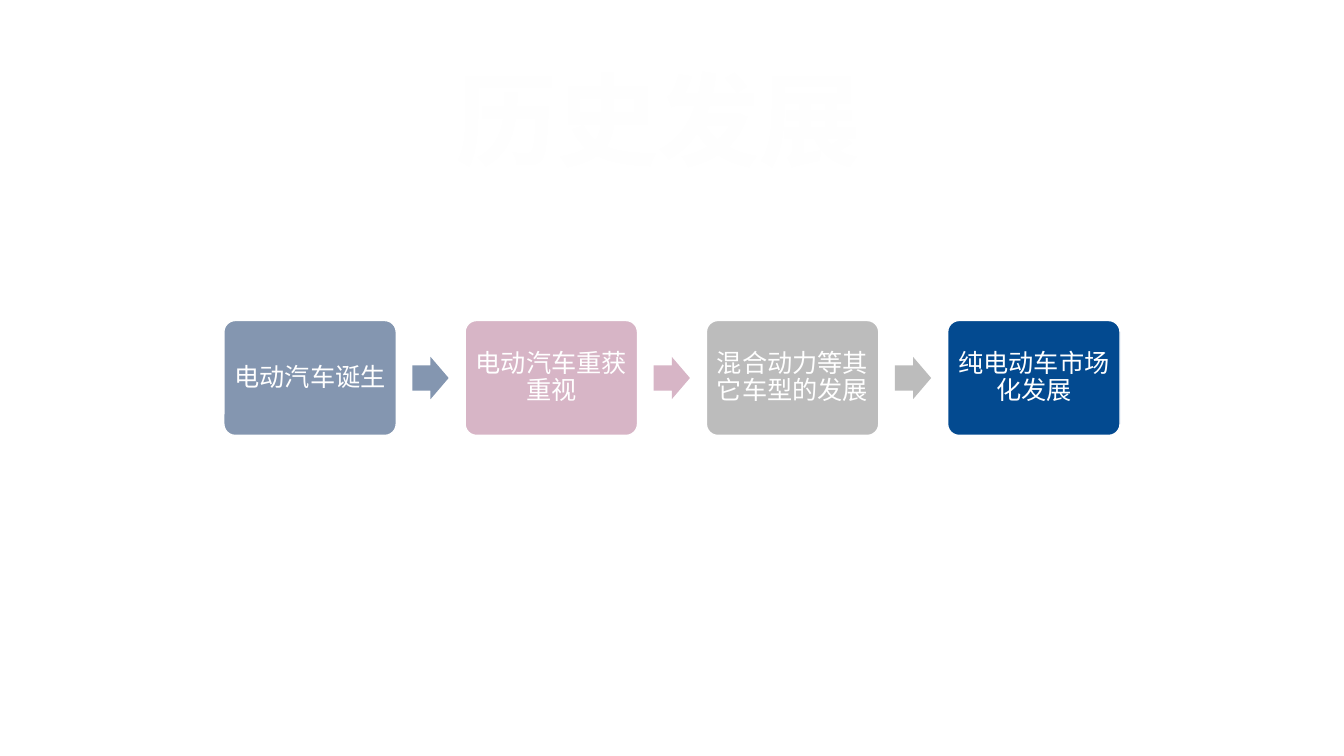
from lxml import etree
from pptx import Presentation
from pptx.dml.color import RGBColor
from pptx.enum.shapes import MSO_SHAPE
from pptx.enum.text import MSO_ANCHOR, MSO_AUTO_SIZE, PP_ALIGN
from pptx.oxml import parse_xml
from pptx.util import Inches, Pt

ROUND = MSO_SHAPE.ROUNDED_RECTANGLE
ARROW = MSO_SHAPE.RIGHT_ARROW
MIDDLE = MSO_ANCHOR.MIDDLE
GROW = MSO_AUTO_SIZE.SHAPE_TO_FIT_TEXT
CENTER = PP_ALIGN.CENTER
NS = "http://schemas.openxmlformats.org/drawingml/2006/main"

COLORS = {
    "white": "FFFFFF",
    "title": "FEFEFE",
    "edge": "595959",
    "slate": "8496B0",
    "pink": "D7B5C6",
    "gray": "BCBCBC",
    "navy": "034A90",
    "shade": "000000",
}

STEPS = [
    ("电动汽车诞生", "slate"),
    ("电动汽车重获重视", "pink"),
    ("混合动力等其它车型的发展", "gray"),
    ("纯电动车市场化发展", "navy"),
]


def rgb(name):
    return RGBColor.from_string(COLORS[name])


def write(frame, text, size=18, font="Arial", color="white", bold=False, space=None):
    para = frame.paragraphs[0]
    para.alignment = CENTER
    para.line_spacing = space
    run = para.add_run()
    run.text = text
    run.font.size = Pt(size)
    run.font.name = font
    run.font.bold = bold
    run.font.color.rgb = rgb(color)
    return run


class Deck:
    def __init__(self):
        self.file = Presentation()
        self.file.slide_width = Inches(13.33)
        self.file.slide_height = Inches(7.5)
        self.slide = self.file.slides.add_slide(self.file.slide_layouts[6])

    def shape(self, kind, box, color, adjust):
        item = self.slide.shapes.add_shape(kind, *map(Inches, box))
        item.shadow.inherit = False
        item.fill.solid()
        item.fill.fore_color.rgb = rgb(color)
        item.line.fill.background()
        for index, value in enumerate(adjust):
            item.adjustments[index] = value
        return item

    def card(self, box, text, color):
        item = self.shape(ROUND, box, color, [0.1])
        item.line.color.rgb = rgb("white")
        item.line.width = Pt(1)
        frame = item.text_frame
        frame.word_wrap = True
        frame.vertical_anchor = MIDDLE
        frame.margin_left = frame.margin_right = Inches(0.07)
        frame.margin_top = frame.margin_bottom = Inches(0.07)
        write(frame, text, space=0.9)

    def arrow(self, box, color):
        self.shape(ARROW, box, color, [0.6, 0.5])

    def title(self, box, text):
        frame = self.slide.shapes.add_textbox(*map(Inches, box)).text_frame
        frame.word_wrap = False
        frame.auto_size = GROW
        run = write(frame, text, size=72, font="Times New Roman", color="title", bold=True)
        props = run.font._element
        line = etree.fromstring(
            f'<a:ln xmlns:a="{NS}" w="9525"><a:solidFill>'
            f'<a:srgbClr val="{COLORS["edge"]}"/></a:solidFill></a:ln>'
        )
        glow = parse_xml(
            f'<a:effectLst xmlns:a="{NS}">'
            '<a:outerShdw blurRad="38100" dist="25400" dir="2700000">'
            f'<a:srgbClr val="{COLORS["shade"]}"><a:alpha val="40000"/></a:srgbClr>'
            '</a:outerShdw></a:effectLst>'
        )
        props.insert(0, line)
        props.insert(2, glow)


def main():
    deck = Deck()
    left, top, wide, high, pitch = 2.22, 3.18, 1.71, 1.14, 2.393
    for index, (text, color) in enumerate(STEPS):
        x = left + index * pitch
        deck.card((x, top, wide, high), text, color)
        if index < len(STEPS) - 1:
            deck.arrow((x + 1.87, top + 0.36, 0.36, 0.42), color)
    deck.title((4.42, 0.52, 4.22, 1.31), "历史发展")
    deck.file.save("out.pptx")


if __name__ == "__main__":
    main()
